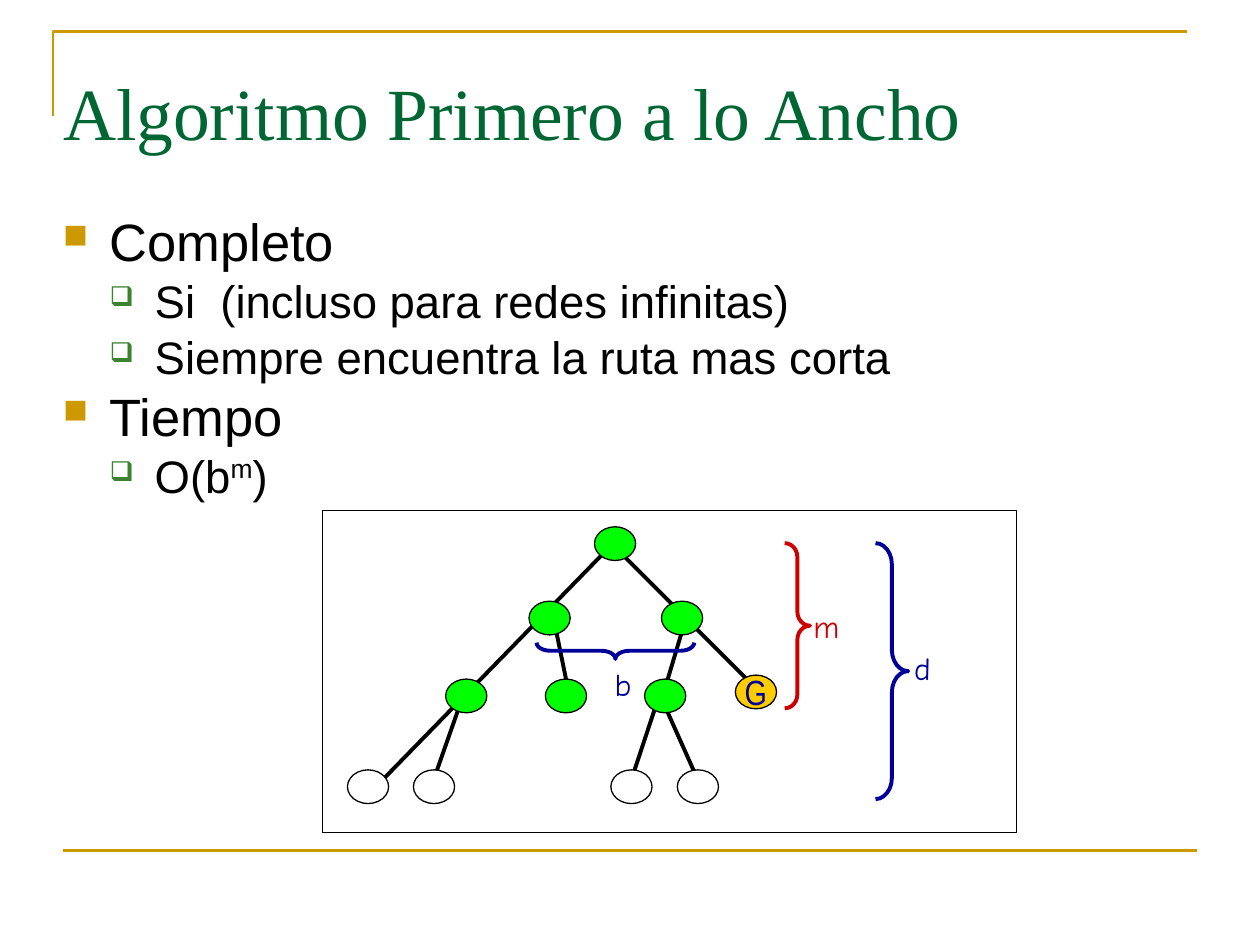
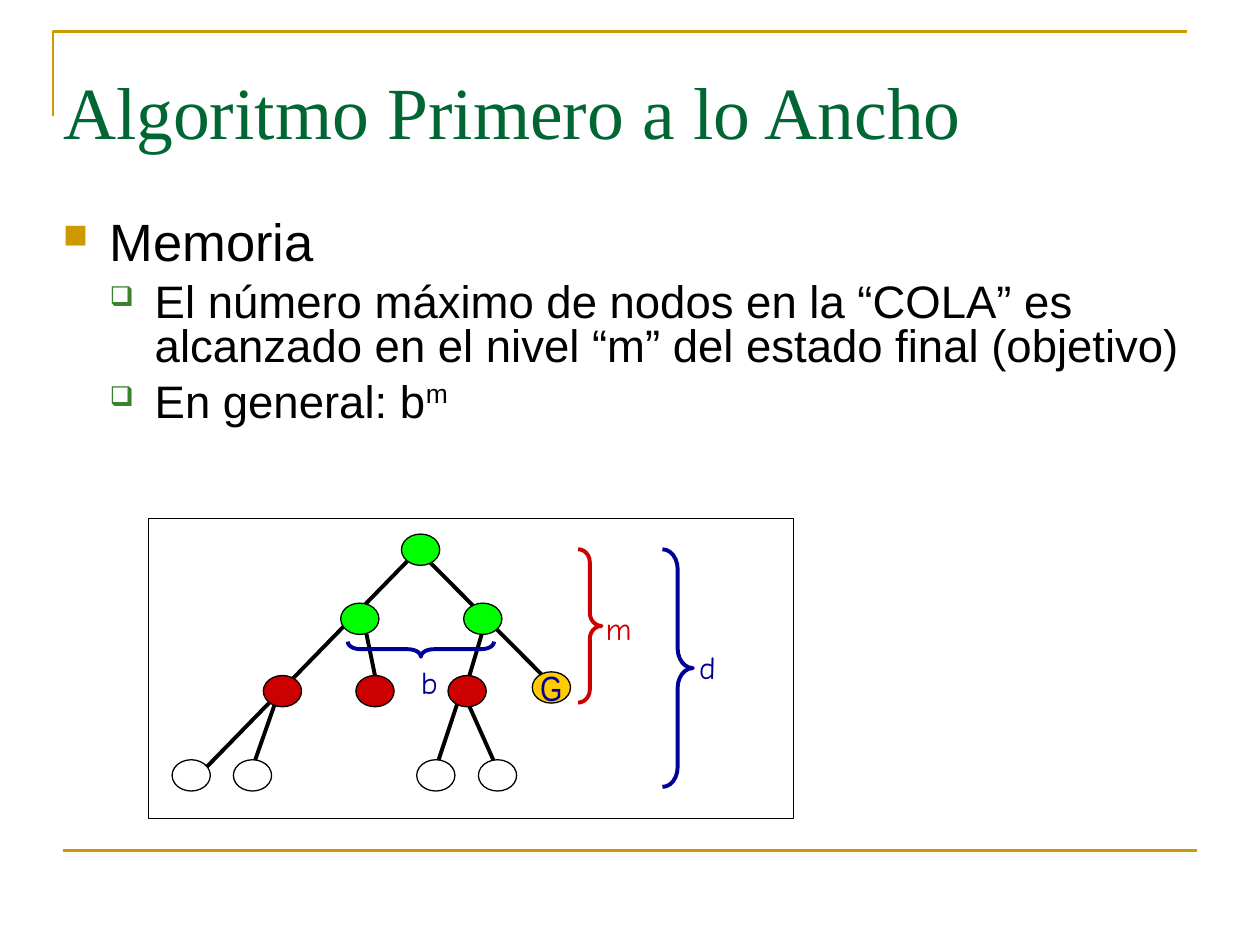
from collections import namedtuple

from lxml import etree
from pptx import Presentation
from pptx.dml.color import RGBColor
from pptx.enum.shapes import MSO_CONNECTOR, MSO_SHAPE
from pptx.enum.text import MSO_ANCHOR, MSO_AUTO_SIZE, PP_ALIGN
from pptx.oxml.ns import qn
from pptx.util import Cm, Pt

STRAIGHT = MSO_CONNECTOR.STRAIGHT
RECTANGLE, ELLIPSE, BRACE = MSO_SHAPE.RECTANGLE, MSO_SHAPE.OVAL, MSO_SHAPE.RIGHT_BRACE
TOP, MIDDLE = MSO_ANCHOR.TOP, MSO_ANCHOR.MIDDLE
LEFT, CENTER = PP_ALIGN.LEFT, PP_ALIGN.CENTER
NO_AUTOFIT = MSO_AUTO_SIZE.NONE

BLACK = RGBColor(0x00, 0x00, 0x00)
WHITE = RGBColor(0xFF, 0xFF, 0xFF)
GOLD = RGBColor(0xCC, 0x99, 0x00)
TITLE_GREEN = RGBColor(0x00, 0x66, 0x33)
BULLET_GREEN = RGBColor(0x3B, 0x81, 0x2F)
NODE_GREEN = RGBColor(0x00, 0xFF, 0x00)
GOAL_YELLOW = RGBColor(0xFF, 0xCC, 0x00)
RED = RGBColor(0xCC, 0x00, 0x00)
NAVY = RGBColor(0x00, 0x00, 0x99)

Box = namedtuple("Box", "left top width height")  # all in centimetres

# Outline levels: text size, indents, spacing and bullet
Level = namedtuple("Level", "size margin hanging before bullet color percent")
LEVELS = [
    Level(30, 0.94, 0.94, 7.5, "■", GOLD, 65),
    Level(26, 1.85, 0.91, 6.5, "❑", BULLET_GREEN, 60),
]

TITLE = "Algoritmo Primero a lo Ancho"
TITLE_FONT = {"name": "Times New Roman", "size": Pt(42)}
GOAL_FONT = {"name": "Arial Narrow", "size": Pt(20)}
LABEL_FONT = {"name": "Comic Neue", "size": Pt(18)}
NO_MARGINS = {"margin_left": 0, "margin_right": 0, "margin_top": 0, "margin_bottom": 0}

# Search tree, in centimetres inside a panel 14 cm wide
PANEL_WIDTH = 14
NODE_SIZE = (0.83, 0.68)
ROW_CENTERS = [0.67, 2.17, 3.74, 5.57]
ROW_NODES = [[5.9], [4.58, 7.25], [2.9, 4.91, 6.91], [0.92, 2.25, 6.23, 7.57]]
GOAL_CENTER = (8.74, 3.66)
BRANCHES = [
    (5.82, 0.66, 8.81, 3.66), (6.83, 3.78, 7.67, 5.66),
    (6.83, 3.61, 6.15, 5.66), (2.82, 3.78, 2.16, 5.66),
    (7.34, 2.13, 6.83, 3.84), (4.65, 2.13, 5.0, 3.84),
    (5.99, 0.53, 0.99, 5.66),
]

# Braces: box before turning, turn, curve, colour, label, label corner, label width
Measure = namedtuple("Measure", "box turn curve color label left top width")
MEASURES = [
    Measure(Box(11.15, 0.66, 0.66, 5.16), 0, 0.65, NAVY, "d", 11.68, 2.67, 0.84),
    Measure(Box(5.74, 1.24, 0.33, 3.18), 90, 0.85, NAVY, "b", 5.64, 3.0, 0.84),
    Measure(Box(9.32, 0.66, 0.51, 3.33), 0, 0.55, RED, "m", 9.65, 1.83, 1.02),
]


def apply(target, formats):
    for name, value in formats.items():
        setattr(target, name, value)


def lengths(box):
    return [Cm(value) for value in box]


def add_span(para, text, formats, color):
    span = para.add_run()
    span.text = text
    apply(span.font, formats)
    span.font.color.rgb = color
    return span


def style(shape, fill, line, width):
    shape.shadow.inherit = False
    if fill is None:
        shape.fill.background()
    else:
        shape.fill.solid()
        shape.fill.fore_color.rgb = fill
    shape.line.color.rgb = line
    shape.line.width = Pt(width)
    return shape


def add_shape(page, kind, box, fill, line=BLACK, width=0.75):
    return style(page.shapes.add_shape(kind, *lengths(box)), fill, line, width)


def add_line(page, ends, color, width):
    line = page.shapes.add_connector(STRAIGHT, *lengths(ends))
    line.line.color.rgb = color
    line.line.width = Pt(width)
    etree.SubElement(line._element.spPr, qn("a:effectLst"))


def add_frame(page):
    """Gold corner at the top and gold rule at the foot."""
    corner = page.shapes.build_freeform(Cm(1.07), Cm(2.33))
    corner.add_line_segments(
        [(Cm(1.07), Cm(0.64)), (Cm(23.93), Cm(0.64))], close=False)
    style(corner.convert_to_shape(), None, GOLD, 1.5)
    add_line(page, (1.27, 17.15, 24.13, 17.15), GOLD, 1.5)


def add_title(page, box, spacing):
    title = page.shapes.title
    apply(title, dict(zip(Box._fields, lengths(box))))
    apply(title.text_frame, {**NO_MARGINS, "auto_size": NO_AUTOFIT,
                             "word_wrap": True, "vertical_anchor": MIDDLE})
    para = title.text_frame.paragraphs[0]
    apply(para, {"alignment": LEFT, "line_spacing": spacing})
    add_span(para, TITLE, TITLE_FONT, TITLE_GREEN)


def set_bullet(para, level):
    properties = para._p.get_or_add_pPr()
    properties.set("marL", str(Cm(level.margin)))
    properties.set("indent", str(-Cm(level.hanging)))
    color = etree.SubElement(properties, qn("a:buClr"))
    etree.SubElement(color, qn("a:srgbClr"), val=str(level.color))
    etree.SubElement(properties, qn("a:buSzPct"), val=str(level.percent * 1000))
    etree.SubElement(properties, qn("a:buChar"), char=level.bullet)


def add_outline(page, box, items):
    """Each item is a level and its parts; every second part is superscript."""
    frame = page.shapes.add_textbox(*lengths(box)).text_frame
    apply(frame, {**NO_MARGINS, "word_wrap": True, "vertical_anchor": TOP})
    for index, (depth, *parts) in enumerate(items):
        level = LEVELS[depth]
        para = frame.add_paragraph() if index else frame.paragraphs[0]
        apply(para, {"level": depth, "line_spacing": 0.81,
                     "space_before": Pt(level.before)})
        set_bullet(para, level)
        for position, text in enumerate(parts):
            span = add_span(para, text, {"name": "Arial", "size": Pt(level.size)}, BLACK)
            if position % 2:
                span._r.get_or_add_rPr().set("baseline", "33000")


def add_tree(page, panel, row_colors):
    """Search tree with its braces, scaled to the width of the panel."""
    scale = panel.width / PANEL_WIDTH

    def place(left, top, width, height):
        return Box(panel.left + left * scale, panel.top + top * scale,
                   width * scale, height * scale)

    def add_node(x, y, color):
        width, height = NODE_SIZE
        box = place(x - width / 2, y - height / 2, width, height)
        return add_shape(page, ELLIPSE, box, color)

    add_shape(page, RECTANGLE, panel, WHITE)

    # Branches
    for x1, y1, x2, y2 in BRANCHES:
        start, end = place(x1, y1, 0, 0), place(x2, y2, 0, 0)
        add_line(page, (*start[:2], *end[:2]), BLACK, 2.25)

    # Nodes, row by row, then the goal
    for y, centers, color in zip(ROW_CENTERS, ROW_NODES, row_colors):
        for x in centers:
            add_node(x, y, color)
    goal = add_node(*GOAL_CENTER, GOAL_YELLOW).text_frame
    apply(goal, {"word_wrap": False, "vertical_anchor": MIDDLE})
    goal.paragraphs[0].alignment = CENTER
    add_span(goal.paragraphs[0], "G", GOAL_FONT, NAVY)

    # Braces with their letters
    for measure in MEASURES:
        brace = add_shape(page, BRACE, place(*measure.box), None, measure.color, 2.25)
        brace.rotation = measure.turn
        brace.adjustments[0] = measure.curve
        corner = place(measure.left, measure.top, 0, 0)
        label = page.shapes.add_textbox(
            *lengths((corner.left, corner.top, measure.width, 1.02))).text_frame
        label.word_wrap = False
        add_span(label.paragraphs[0], measure.label, LABEL_FONT, measure.color)


def add_page(deck, title_box, title_spacing, items, panel, row_colors):
    page = deck.slides.add_slide(deck.slide_layouts.get_by_name("Title Only"))
    add_frame(page)
    add_title(page, title_box, title_spacing)
    add_outline(page, Box(1.27, 4.45, 22.86, 5.69), items)
    add_tree(page, panel, row_colors)


def main():
    deck = Presentation()
    deck.slide_width, deck.slide_height = Cm(25.4), Cm(19.05)

    # Completeness and time
    add_page(
        deck, Box(1.27, 0.76, 22.86, 3.15), 0.95,
        [(0, "Completo"),
         (1, "Si  (incluso para redes infinitas)"),
         (1, "Siempre encuentra la ruta mas corta"),
         (0, "Tiempo"),
         (1, "O(b", "m", ")")],
        Box(6.5, 10.29, 14, 6.5),
        [NODE_GREEN, NODE_GREEN, NODE_GREEN, WHITE])

    # Memory
    add_page(
        deck, Box(1.27, 1.6, 22.86, 1.52), 0.86,
        [(0, "Memoria"),
         (1, "El número máximo de nodos en la “COLA” es alcanzado "
             "en el nivel “m” del estado final (objetivo)"),
         (1, "En general: b", "m")],
        Box(3, 10.46, 13, 6.04),
        [NODE_GREEN, NODE_GREEN, RED, WHITE])

    deck.save("out.pptx")


if __name__ == "__main__":
    main()
